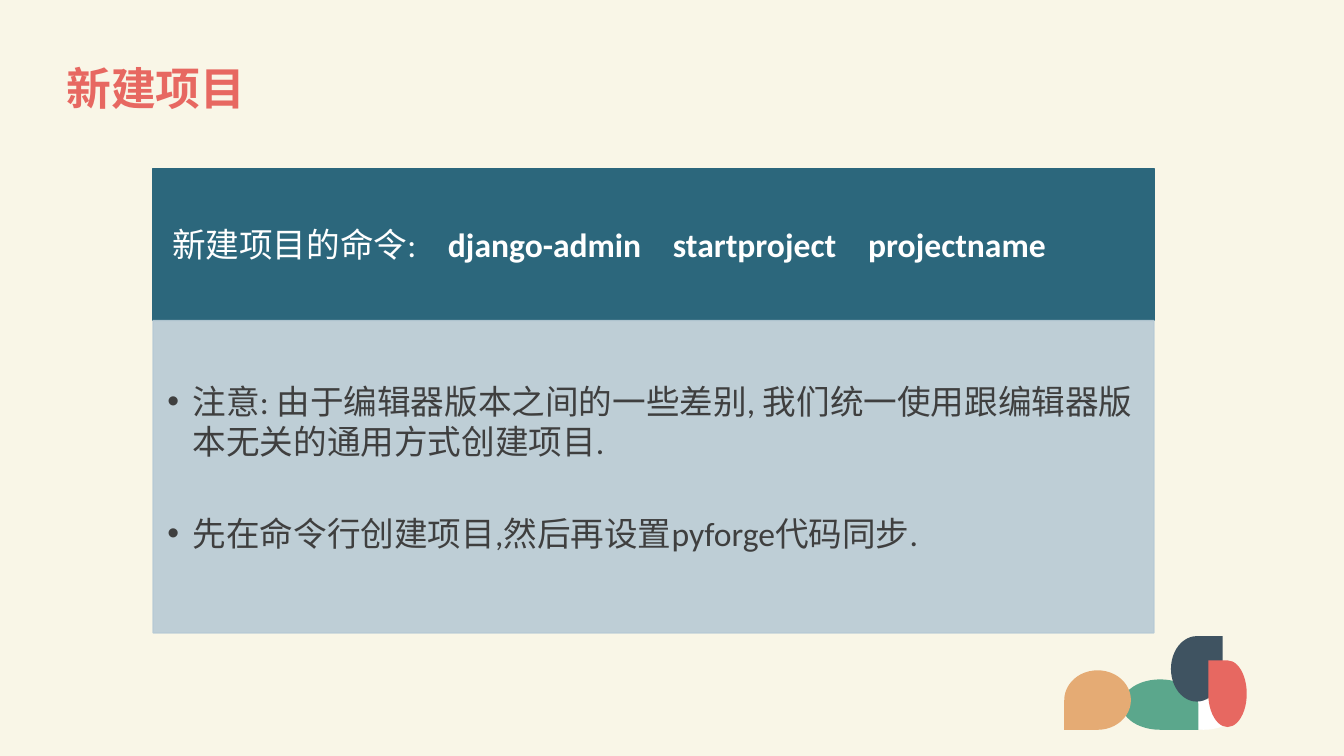
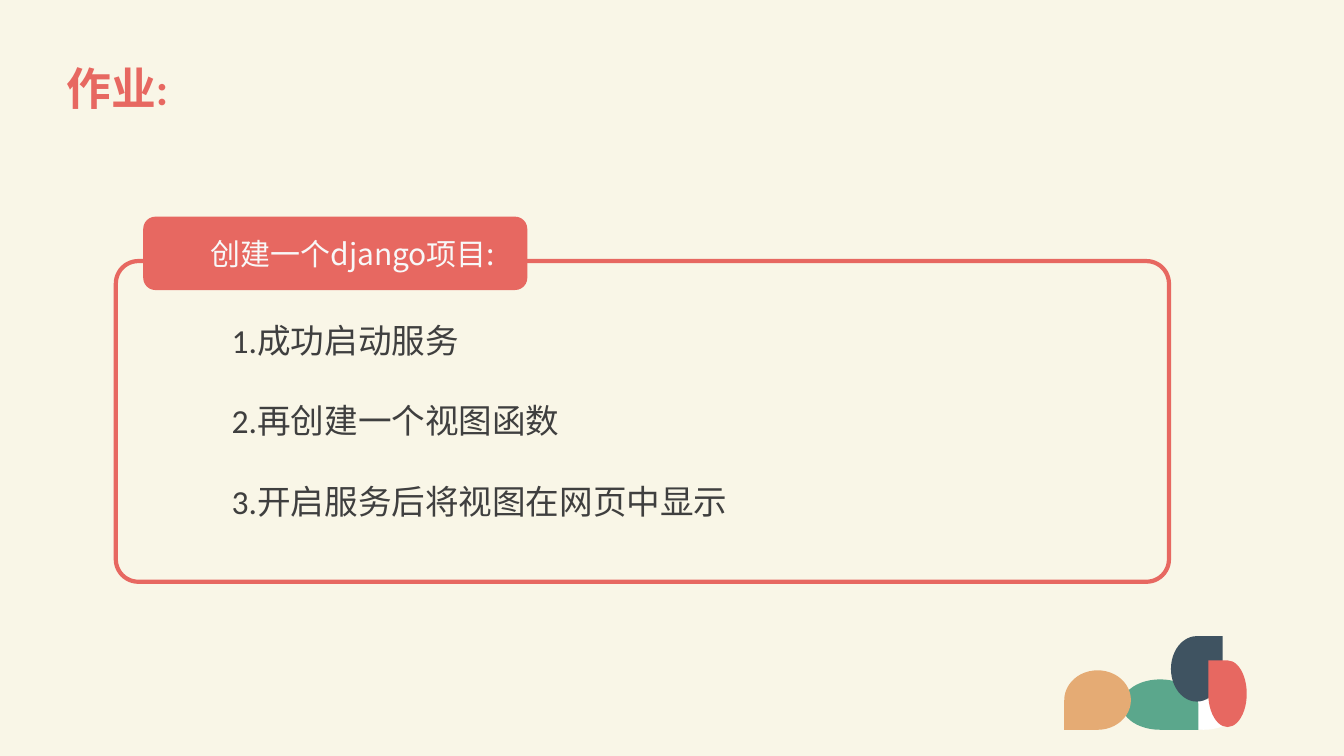
import pptx
import pptx.util
import pptx.dml.color
import pptx.enum.shapes
import pptx.enum.text
import pptx.oxml.ns
import lxml.etree
from dataclasses import dataclass

Cm = pptx.util.Cm
Pt = pptx.util.Pt
Kind = pptx.enum.shapes.MSO_SHAPE
Align = pptx.enum.text.PP_ALIGN
Anchor = pptx.enum.text.MSO_ANCHOR
qn = pptx.oxml.ns.qn


@dataclass(frozen=True)
class Theme:
    # Colours
    paper: str = "F9F6E7"
    coral: str = "E76861"
    teal: str = "2C677C"
    mist: str = "B8CAD5"
    green: str = "5BA78C"
    slate: str = "3F5361"
    sand: str = "E5AB74"
    white: str = "FFFFFF"
    pale: str = "F8F8F8"
    ink: str = "3F3F3F"
    # Type
    font: str = "Calibri"
    tag_font: str = "Noto Sans CJK SC"
    title: float = 32
    body: float = 24
    tag: float = 21.4


T = Theme()


def rgb(code):
    return pptx.dml.color.RGBColor.from_string(code)


def add_sub(node, tag, **attrs):
    return lxml.etree.SubElement(node, qn(tag), attrs)


# Text
def add_run(para, text, size, color, bold=False, font=T.font):
    run = para.add_run()
    run.text = text
    run.font.size = Pt(size)
    run.font.bold = bold
    run.font.name = font
    run.font.color.rgb = rgb(color)
    # East Asian letters follow the same font
    latin = run.font._element.find(qn("a:latin"))
    east = lxml.etree.Element(qn("a:ea"), typeface=font)
    latin.addnext(east)


def set_frame(shape, anchor, left=0.25, top=0.13, right=0.25, bottom=0.13):
    frame = shape.text_frame
    frame.word_wrap = True
    frame.auto_size = pptx.enum.text.MSO_AUTO_SIZE.NONE
    frame.vertical_anchor = anchor
    frame.margin_left, frame.margin_top = Cm(left), Cm(top)
    frame.margin_right, frame.margin_bottom = Cm(right), Cm(bottom)
    return frame


def add_items(frame, items, gap, bullet=False):
    for i, item in enumerate(items):
        para = frame.add_paragraph() if i else frame.paragraphs[0]
        para.alignment = Align.LEFT
        para.space_after = Pt(gap)
        if bullet:
            props = para._p.get_or_add_pPr()
            props.set("marL", str(Cm(0.64)))
            props.set("indent", str(-Cm(0.64)))
            add_sub(props, "a:buFont", typeface="Arial")
            add_sub(props, "a:buChar", char="•")
        add_run(para, item, T.body, T.ink)


def set_tabs(para, stops):
    tabs = add_sub(para._p.get_or_add_pPr(), "a:tabLst")
    for stop in stops:
        add_sub(tabs, "a:tab", pos=str(Cm(stop)), algn="l")


# Shapes
def add_box(slide, kind, x, y, w, h, fill=None, line=None, width=1):
    box = slide.shapes.add_shape(kind, Cm(x), Cm(y), Cm(w), Cm(h))
    box.shadow.inherit = False
    if fill:
        box.fill.solid()
        box.fill.fore_color.rgb = rgb(fill)
    else:
        box.fill.background()
    if line:
        box.line.color.rgb = rgb(line)
        box.line.width = Pt(width)
    else:
        box.line.fill.background()
    return box


def fade(box, share):
    for color in box._element.spPr.iter(qn("a:srgbClr")):
        add_sub(color, "a:alpha", val=str(share * 1000))


def add_petal(slide, x, y, w, h, fill, turn):
    """Oval with one square corner; turn moves it clockwise from top right."""
    if turn % 180:
        x, y, w, h = x + (w - h) / 2, y + (h - w) / 2, h, w
    petal = add_box(slide, Kind.TEAR, x, y, w, h, fill)
    petal.adjustments[0] = 1.0
    petal.rotation = turn


def add_decor(slide):
    add_box(slide, Kind.OVAL, 29.57, 17.63, 1.52, 0.76, T.white)
    add_petal(slide, 28.27, 17.12, 1.93, 1.27, T.green, 90)
    add_petal(slide, 29.51, 16.03, 1.3, 1.65, T.slate, 0)
    add_petal(slide, 30.45, 16.64, 0.97, 1.68, T.coral, 270)
    add_petal(slide, 26.82, 16.89, 1.68, 1.5, T.sand, 180)


# Slides
def add_slide(deck, text):
    slide = deck.slides.add_slide(deck.slide_layouts[5])
    title = slide.shapes.title
    title.left, title.top = Cm(1.42), Cm(0.94)
    title.width, title.height = Cm(31.22), Cm(2.69)
    para = set_frame(title, Anchor.MIDDLE).paragraphs[0]
    para.alignment = Align.LEFT
    para.line_spacing = 0.9
    add_run(para, text, T.title, T.coral, bold=True)
    add_decor(slide)
    return slide


def add_setup(deck):
    slide = add_slide(deck, "新建项目")
    left, top, wide, head, rest = 3.86, 4.24, 25.22, 3.84, 7.87

    # Command band
    band = add_box(slide, Kind.RECTANGLE, left, top, wide, head, T.teal, T.teal)
    para = set_frame(band, Anchor.MIDDLE, left=0.48, right=0.48).paragraphs[0]
    para.alignment = Align.LEFT
    set_tabs(para, (6.95, 12.62, 17.54))
    add_run(para, "新建项目的命令:", T.body, T.white)
    for word in ("django-admin", "startproject", "projectname"):
        add_run(para, "\t" + word, T.body, T.white, bold=True)

    # Notes panel
    panel = add_box(slide, Kind.RECTANGLE, left, top + head, wide, rest,
                    T.mist, T.mist)
    fade(panel, 90)
    frame = set_frame(panel, Anchor.TOP, left=0.36, top=1.52, right=0.48)
    add_items(frame, (
        "注意: 由于编辑器版本之间的一些差别, "
        "我们统一使用跟编辑器版本无关的通用方式创建项目.",
        "先在命令行创建项目,然后再设置pyforge代码同步.",
    ), gap=36.5, bullet=True)


def add_task(deck):
    slide = add_slide(deck, "作业:")

    # Frame with its tag
    frame = add_box(slide, Kind.ROUNDED_RECTANGLE, 2.92, 6.58, 26.54, 8.08,
                    line=T.coral, width=3)
    frame.adjustments[0] = 0.07
    tag = add_box(slide, Kind.ROUNDED_RECTANGLE, 3.61, 5.46, 9.68, 1.85, T.coral)
    para = set_frame(tag, Anchor.MIDDLE, left=1.14).paragraphs[0]
    para.alignment = Align.CENTER
    add_run(para, "创建一个django项目:", T.tag, T.pale, font=T.tag_font)

    # Steps
    steps = slide.shapes.add_textbox(Cm(5.59), Cm(7.92), Cm(13), Cm(6.4))
    add_items(set_frame(steps, Anchor.TOP), (
        "1.成功启动服务",
        "2.再创建一个视图函数",
        "3.开启服务后将视图在网页中显示",
    ), gap=29)


def main():
    deck = pptx.Presentation()
    deck.slide_width, deck.slide_height = Cm(33.87), Cm(19.05)
    back = deck.slide_master.background.fill
    back.solid()
    back.fore_color.rgb = rgb(T.paper)
    add_setup(deck)
    add_task(deck)
    deck.save("out.pptx")


if __name__ == "__main__":
    main()
